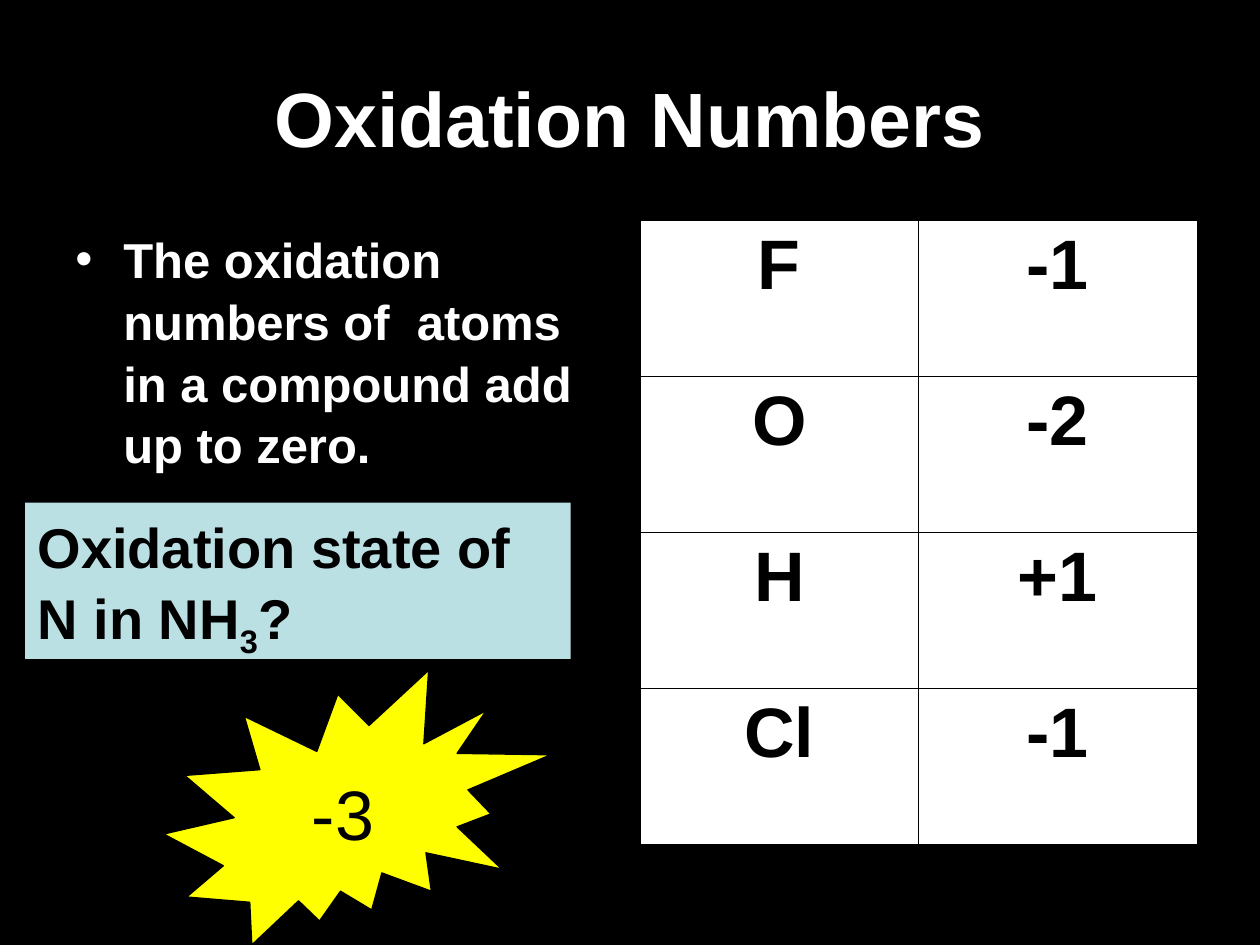
from dataclasses import dataclass

from lxml import etree
from pptx import Presentation
from pptx.dml.color import RGBColor
from pptx.enum import shapes, text
from pptx.oxml import ns
from pptx.util import Inches, Pt


@dataclass(frozen=True)
class Theme:
    font: str = "Arial"
    black: str = "000000"
    white: str = "FFFFFF"
    pale: str = "BBE0E3"
    yellow: str = "FFFF00"
    title: int = 44
    body: int = 28
    ask: int = 32
    big: int = 40
    rule: float = 0.45


THEME = Theme()
CENTER = text.PP_ALIGN.CENTER
MIDDLE = text.MSO_ANCHOR.MIDDLE


def paint(fill, color):
    fill.solid()
    fill.fore_color.rgb = RGBColor.from_string(color)


def style(para, size, color, bold=True, align=text.PP_ALIGN.LEFT):
    para.alignment = align
    font = para.font
    font.name, font.size, font.bold = THEME.font, Pt(size), bold
    font.color.rgb = RGBColor.from_string(color)


def node(parent, tag, **attrs):
    return etree.SubElement(parent, ns.qn(tag), attrs)


def add_title(slide, words):
    title = slide.shapes.title
    title.left, title.top = Inches(0.5), Inches(0.3)
    title.width, title.height = Inches(9), Inches(1.25)
    title.text_frame.text = words
    title.text_frame.vertical_anchor = MIDDLE
    style(title.text_frame.paragraphs[0], THEME.title, THEME.white, align=CENTER)


def add_bullet(slide, words):
    box = slide.shapes.add_textbox(Inches(0.5), Inches(1.75), Inches(4.42), Inches(4.95))
    frame = box.text_frame
    frame.word_wrap = True
    frame.text = words
    para = frame.paragraphs[0]
    props = para._p.get_or_add_pPr()
    props.set("marL", str(Inches(0.38)))
    props.set("indent", str(-Inches(0.38)))
    node(props, "a:buFont", typeface=THEME.font)
    node(props, "a:buChar", char="•")
    style(para, THEME.body, THEME.white)
    para.line_spacing = 1.05


def add_edges(cell):
    props = cell._tc.get_or_add_tcPr()
    for side in ("a:lnL", "a:lnR", "a:lnT", "a:lnB"):
        line = node(props, side, w=str(Pt(THEME.rule)))
        node(node(line, "a:solidFill"), "a:srgbClr", val=THEME.black)


def add_grid(slide, rows):
    frame = slide.shapes.add_table(
        len(rows), 2, Inches(5.08), Inches(1.75), Inches(4.42), Inches(4.95)
    )
    for r, row in enumerate(rows):
        for c, words in enumerate(row):
            cell = frame.table.cell(r, c)
            cell.text = words
            add_edges(cell)
            paint(cell.fill, THEME.white)
            style(cell.text_frame.paragraphs[0], THEME.big, THEME.black, align=CENTER)


def add_block(slide, kind, left, top, width, height, color):
    block = slide.shapes.add_shape(
        kind, Inches(left), Inches(top), Inches(width), Inches(height)
    )
    block.shadow.inherit = False
    paint(block.fill, color)
    block.line.fill.background()
    return block


def add_ask(slide):
    block = add_block(
        slide, shapes.MSO_SHAPE.RECTANGLE, 0.2, 3.99, 4.33, 1.24, THEME.pale
    )
    frame = block.text_frame
    frame.word_wrap = True
    frame.vertical_anchor = text.MSO_ANCHOR.TOP
    para = frame.paragraphs[0]
    for words in ("Oxidation state of N in NH", "3", "?"):
        para.add_run().text = words
    para.runs[1].font._element.set("baseline", "-25000")
    style(para, THEME.ask, THEME.black)
    para.line_spacing = 1.05


def add_burst(slide, words):
    burst = add_block(
        slide, shapes.MSO_SHAPE.EXPLOSION2, 1.3, 5.32, 3.07, 2.18, THEME.yellow
    )
    paint(burst.line.fill, THEME.black)
    burst.line.width = Pt(0.75)
    frame = burst.text_frame
    frame.word_wrap = False
    frame.text = words
    frame.vertical_anchor = MIDDLE
    style(frame.paragraphs[0], THEME.big, THEME.black, bold=False, align=CENTER)


def main():
    deck = Presentation()
    deck.slide_width, deck.slide_height = Inches(10), Inches(7.5)
    slide = deck.slides.add_slide(deck.slide_layouts.get_by_name("Title Only"))
    paint(slide.background.fill, THEME.black)
    add_title(slide, "Oxidation Numbers")
    add_bullet(slide, "The oxidation numbers of  atoms in a compound add up to zero.")
    add_grid(slide, [("F", "-1"), ("O", "-2"), ("H", "+1"), ("Cl", "-1")])
    add_ask(slide)
    add_burst(slide, "-3")
    deck.save("out.pptx")


if __name__ == "__main__":
    main()
